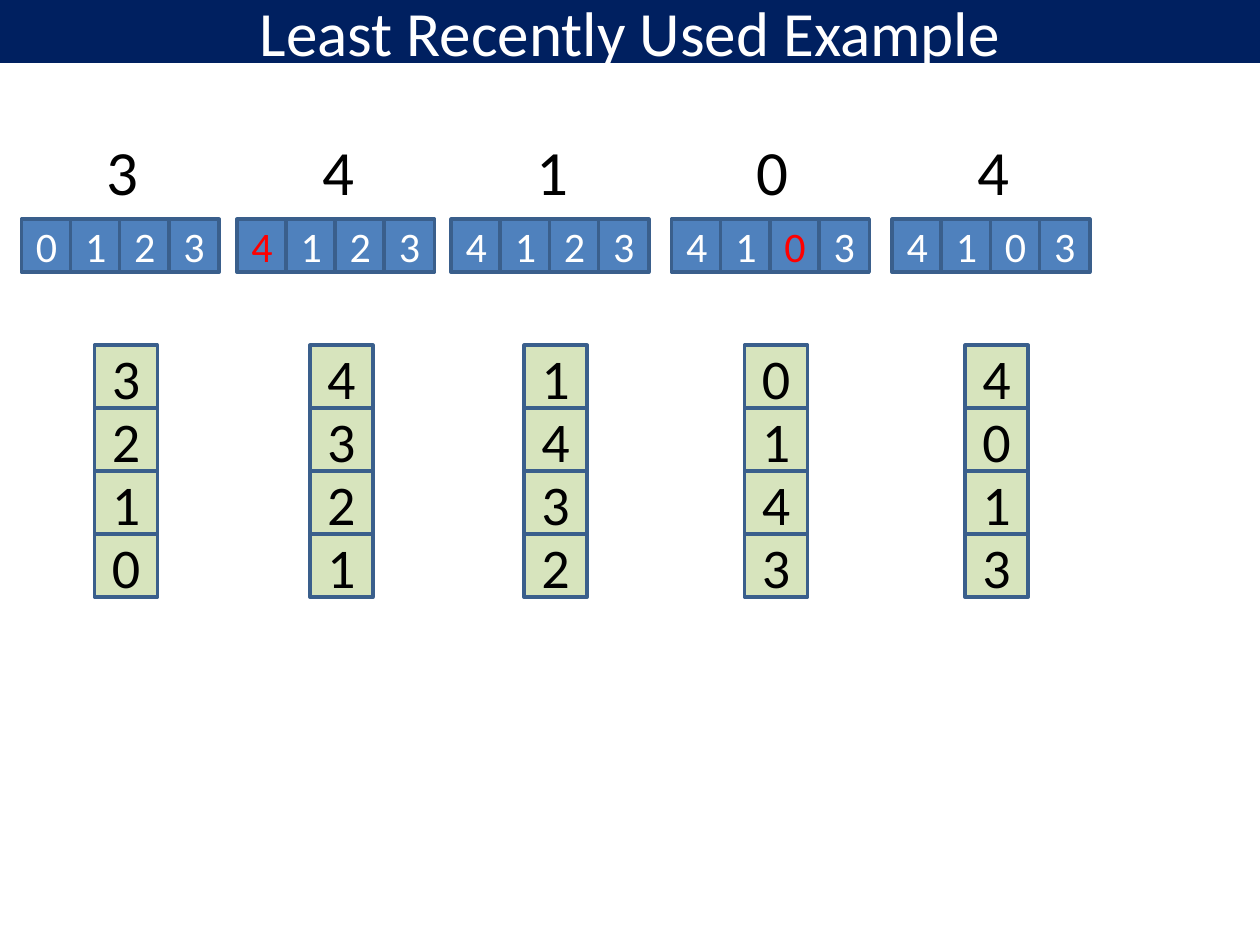
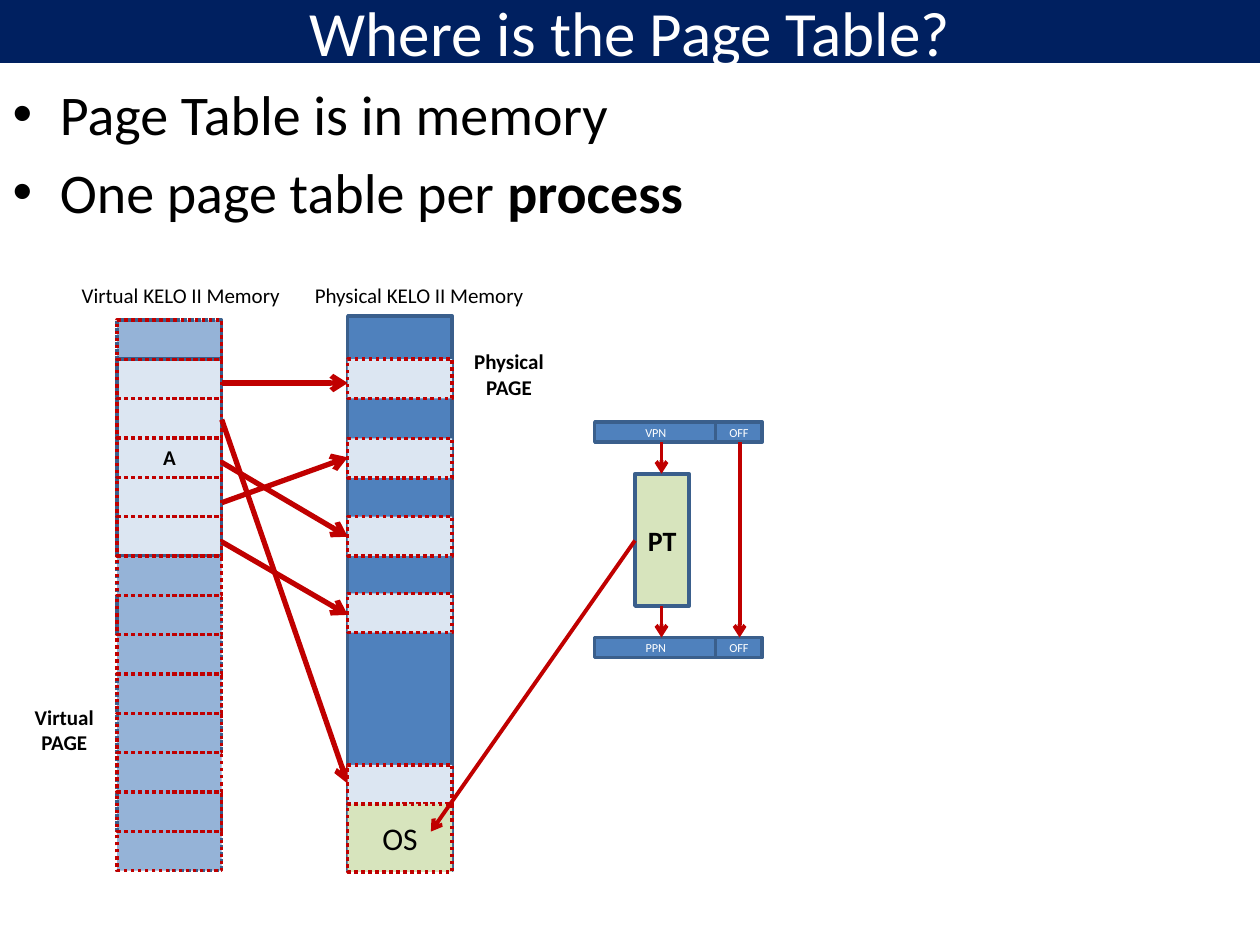
from lxml.etree import SubElement
from pptx import Presentation
from pptx.dml.color import RGBColor
from pptx.enum.dml import MSO_LINE
from pptx.enum.shapes import MSO_CONNECTOR, MSO_SHAPE as SHAPE
from pptx.enum.text import MSO_ANCHOR as ANCHOR, MSO_AUTO_SIZE, PP_ALIGN as ALIGN
from pptx.oxml.ns import qn
from pptx.util import Inches, Pt

FONT = "Calibri"
NAVY, BLUE, EDGE = "002060", "4F81BD", "3A5F8C"
MID_BLUE, PALE_BLUE, GREEN = "95B3D7", "DCE6F2", "D7E4BD"
DARK_RED, RED, BLACK, WHITE = "C00000", "FF0000", "000000", "FFFFFF"


def rgb(value):
    return RGBColor.from_string(value)


class SlideBuilder:
    def __init__(self, deck):
        self.deck = deck
        self.page = None

    def place(self, shape, left, top, width, height):
        shape.left, shape.top = Inches(left), Inches(top)
        shape.width, shape.height = Inches(width), Inches(height)

    def style(self, para, size, color=BLACK, bold=None):
        para.font.name = FONT
        para.font.size = Pt(size)
        para.font.color.rgb = rgb(color)
        para.font.bold = bold

    def start(self, title, layout):
        self.page = self.deck.slides.add_slide(self.deck.slide_layouts[layout])
        band = self.page.shapes.title
        self.place(band, 0, 0, 10, 0.5)
        band.fill.solid()
        band.fill.fore_color.rgb = rgb(NAVY)
        frame = band.text_frame
        frame.text = title
        frame.auto_size = MSO_AUTO_SIZE.NONE
        frame.vertical_anchor = ANCHOR.MIDDLE
        frame.paragraphs[0].alignment = ALIGN.CENTER
        self.style(frame.paragraphs[0], 36, WHITE)

    def bullets(self, items):
        body = self.page.placeholders[1]
        self.place(body, 0, 0.58, 10, 6.92)
        frame = body.text_frame
        frame.auto_size = MSO_AUTO_SIZE.NONE
        for index, (plain, strong) in enumerate(items):
            para = frame.add_paragraph() if index else frame.paragraphs[0]
            para.add_run().text = plain
            if strong:
                span = para.add_run()
                span.text = strong
                span.font.bold = True
            self.style(para, 32)
        frame.paragraphs[0].space_before = Pt(0)

    def box(self, left, top, width, height, fill=None, text="", size=12,
            color=BLACK, bold=None, edge=EDGE, dotted=False):
        box = self.page.shapes.add_shape(
            SHAPE.RECTANGLE, Inches(left), Inches(top), Inches(width), Inches(height))
        box.shadow.inherit = False
        if fill:
            box.fill.solid()
            box.fill.fore_color.rgb = rgb(fill)
        else:
            box.fill.background()
        box.line.color.rgb = rgb(edge)
        box.line.width = Pt(2)
        if dotted:
            box.line.dash_style = MSO_LINE.ROUND_DOT
        if text:
            frame = box.text_frame
            frame.margin_left = frame.margin_right = 0
            frame.margin_top = frame.margin_bottom = 0
            frame.vertical_anchor = ANCHOR.MIDDLE
            frame.text = text
            frame.paragraphs[0].alignment = ALIGN.CENTER
            self.style(frame.paragraphs[0], size, color, bold)

    def label(self, left, top, width, height, lines, size=12, bold=None, align=ALIGN.LEFT):
        label = self.page.shapes.add_textbox(
            Inches(left), Inches(top), Inches(width), Inches(height))
        frame = label.text_frame
        frame.word_wrap = False
        frame.text = "\n".join(lines)
        for para in frame.paragraphs:
            para.alignment = align
            self.style(para, size, bold=bold)

    def arrow(self, start, end, weight):
        arrow = self.page.shapes.add_connector(
            MSO_CONNECTOR.STRAIGHT, *(Inches(value) for value in (*start, *end)))
        arrow.line.color.rgb = rgb(DARK_RED)
        arrow.line.width = Pt(weight)
        SubElement(arrow.line._get_or_add_ln(), qn("a:tailEnd"), type="arrow")
        SubElement(arrow._element.spPr, qn("a:effectLst"))


def build_lru_example(builder):
    builder.start("Least Recently Used Example", 5)
    steps = [
        (0.17, "3", "0123", "3210", None),
        (1.88, "4", "4123", "4321", 0),
        (3.58, "1", "4123", "1432", None),
        (5.33, "0", "4103", "0143", 2),
        (7.08, "4", "4103", "4013", None),
    ]
    for left, request, frames, recency, replaced in steps:
        middle = left + 0.58
        for row, number in enumerate(recency):
            builder.box(middle, 2.74 + 0.5 * row, 0.5, 0.5, GREEN, number, 32)
        builder.label(middle, 1, 0.46, 0.71, [request], 36)
        for column, number in enumerate(frames):
            color = RED if column == replaced else WHITE
            builder.box(left + 0.39 * column, 1.74, 0.4, 0.42, BLUE, number, 24, color)


def build_page_table(builder):
    builder.start("Where is the Page Table?", 1)
    builder.bullets([("Page Table is in memory", ""), ("One page table per ", "process")])

    virtual, physical, width = 0.93, 2.76, 0.83
    top, height, page_count = 2.54, 4.37, 14
    page_height = height / page_count
    builder.box(virtual, top, width, height, MID_BLUE, dotted=True)
    builder.box(virtual, 2.85, width, 1.56, PALE_BLUE, "A", bold=True)
    builder.box(physical, 2.51, width, 4.4, BLUE)
    for index in range(page_count):
        builder.box(virtual, top + index * page_height, width, page_height,
                    edge=DARK_RED, dotted=True)

    for start, end in [(3.04, 3.04), (3.33, 6.22), (3.67, 4.26), (3.99, 3.63), (4.3, 4.88)]:
        builder.arrow((virtual + width, start), (physical, end), 3)
    for page_top in (2.85, 3.48, 4.1, 4.71, 6.07):
        builder.box(physical, page_top, width, page_height, PALE_BLUE,
                    edge=DARK_RED, dotted=True)
    builder.box(physical, 6.38, width, 0.54, GREEN, "OS", 18, edge=DARK_RED, dotted=True)

    builder.label(0.55, 2.19, 1.78, 0.3, ["Virtual KELO II Memory"])
    builder.label(2.4, 2.19, 1.87, 0.3, ["Physical KELO II Memory"])
    builder.label(3.66, 2.72, 0.76, 0.5, ["Physical", "PAGE"], bold=True, align=ALIGN.CENTER)
    builder.label(0.17, 5.54, 0.68, 0.5, ["Virtual", "PAGE"], bold=True, align=ALIGN.CENTER)

    for address_top, number in [(3.35, "VPN"), (5.06, "PPN")]:
        builder.box(4.72, address_top, 0.97, 0.16, BLUE, number, 7, WHITE)
        builder.box(5.68, address_top, 0.37, 0.16, BLUE, "OFF", 7, WHITE)
    builder.box(5.04, 3.76, 0.43, 1.05, GREEN, "PT", 16, bold=True)
    for left, start, end in [(5.25, 3.51, 3.76), (5.87, 3.51, 5.06), (5.25, 4.81, 5.06)]:
        builder.arrow((left, start), (left, end), 2.25)
    builder.arrow((5.04, 4.29), (3.42, 6.6), 2.25)


def main():
    deck = Presentation()
    deck.slide_width, deck.slide_height = Inches(10), Inches(7.5)
    builder = SlideBuilder(deck)
    build_lru_example(builder)
    build_page_table(builder)
    deck.save("out.pptx")


if __name__ == "__main__":
    main()
